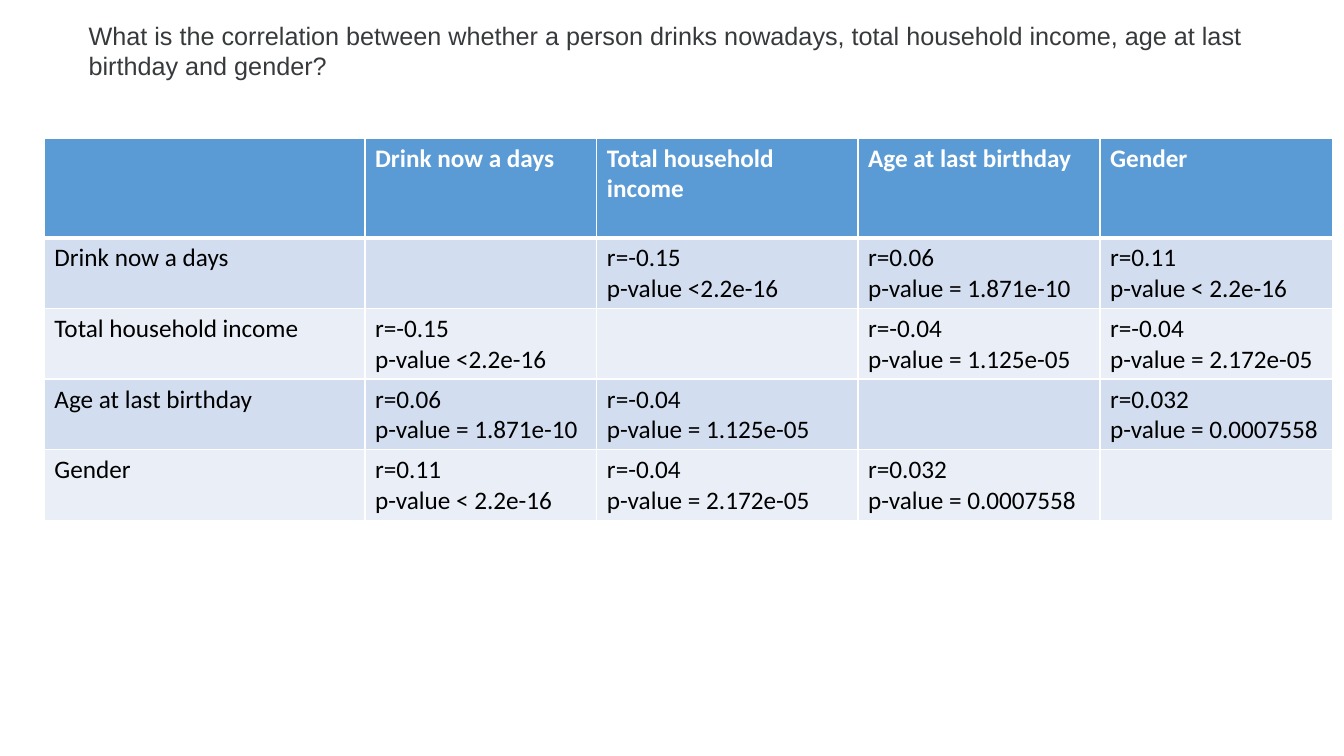
from lxml import etree
from pptx import Presentation
from pptx.dml.color import RGBColor
from pptx.oxml import ns
from pptx.util import Inches, Pt

QUESTION = ("What is the correlation between whether a person drinks nowadays, "
            "total household income, age at last birthday and gender?")
VARIABLES = ["Drink now a days", "Total household income",
             "Age at last birthday", "Gender"]
# The matrix is symmetric: each pair of variables is listed once.
CORRELATIONS = {
    (0, 1): ("r=-0.15", "p-value <2.2e-16"),
    (0, 2): ("r=0.06", "p-value = 1.871e-10"),
    (0, 3): ("r=0.11", "p-value < 2.2e-16"),
    (1, 2): ("r=-0.04", "p-value = 1.125e-05"),
    (1, 3): ("r=-0.04", "p-value = 2.172e-05"),
    (2, 3): ("r=0.032", "p-value = 0.0007558"),
}
COLUMN_WIDTHS = [3.18, 2.3, 2.59, 2.4, 2.31]
ROW_HEIGHTS = [0.99] + [0.7] * len(VARIABLES)

THEME = {
    "question": "373A3C", "header": "5B9BD5", "bands": ("D2DEEF", "EAEFF7"),
    "body_text": "000000", "header_text": "FFFFFF", "border": "FFFFFF",
    "size": 18, "question_font": "Arial", "table_font": "Calibri",
}


def style_runs(tf, font, color, bold=False):
    for p in tf.paragraphs:
        for r in p.runs:
            r.font.name = font
            r.font.size = Pt(THEME["size"])
            r.font.bold = bold
            r.font.color.rgb = RGBColor.from_string(color)


def set_borders(cell, **widths):
    """Draw the cell's edges; widths in points by side: L, R, T, B."""
    props = cell._tc.get_or_add_tcPr()
    for position, (side, width) in enumerate(widths.items()):
        line = etree.Element(ns.qn(f"a:ln{side}"), w=str(Pt(width)))
        fill = etree.SubElement(line, ns.qn("a:solidFill"))
        etree.SubElement(fill, ns.qn("a:srgbClr"), val=THEME["border"])
        props.insert(position, line)


def cell_text(row, col):
    if row == 0 or col == 0:
        index = row + col
        return VARIABLES[index - 1] if index else ""
    pair = tuple(sorted((row - 1, col - 1)))
    return "\n".join(CORRELATIONS.get(pair, ()))


def add_question(s):
    box = s.shapes.add_textbox(Inches(0.78), Inches(0.15),
                               Inches(12.31), Inches(0.71))
    tf = box.text_frame
    tf.word_wrap = True
    tf.text = QUESTION
    style_runs(tf, THEME["question_font"], THEME["question"])


def add_matrix(s):
    frame = s.shapes.add_table(
        len(ROW_HEIGHTS), len(COLUMN_WIDTHS), Inches(0.44), Inches(1.37),
        Inches(sum(COLUMN_WIDTHS)), Inches(sum(ROW_HEIGHTS)))
    table = frame.table
    for column, width in zip(table.columns, COLUMN_WIDTHS):
        column.width = Inches(width)
    for i, height in enumerate(ROW_HEIGHTS):
        table.rows[i].height = Inches(height)
        header = i == 0
        fill = THEME["header"] if header else THEME["bands"][(i - 1) % 2]
        color = THEME["header_text" if header else "body_text"]
        for j in range(len(COLUMN_WIDTHS)):
            cell = table.cell(i, j)
            cell.text_frame.text = cell_text(i, j)
            style_runs(cell.text_frame, THEME["table_font"], color, header)
            cell.fill.solid()
            cell.fill.fore_color.rgb = RGBColor.from_string(fill)
            set_borders(cell, L=1, R=1, T=3 if i == 1 else 1,
                        B=3 if header else 1)


def main():
    prs = Presentation()
    prs.slide_width, prs.slide_height = Inches(13.33), Inches(7.5)
    s = prs.slides.add_slide(prs.slide_layouts[6])
    add_question(s)
    add_matrix(s)
    prs.save("out.pptx")


if __name__ == "__main__":
    main()
